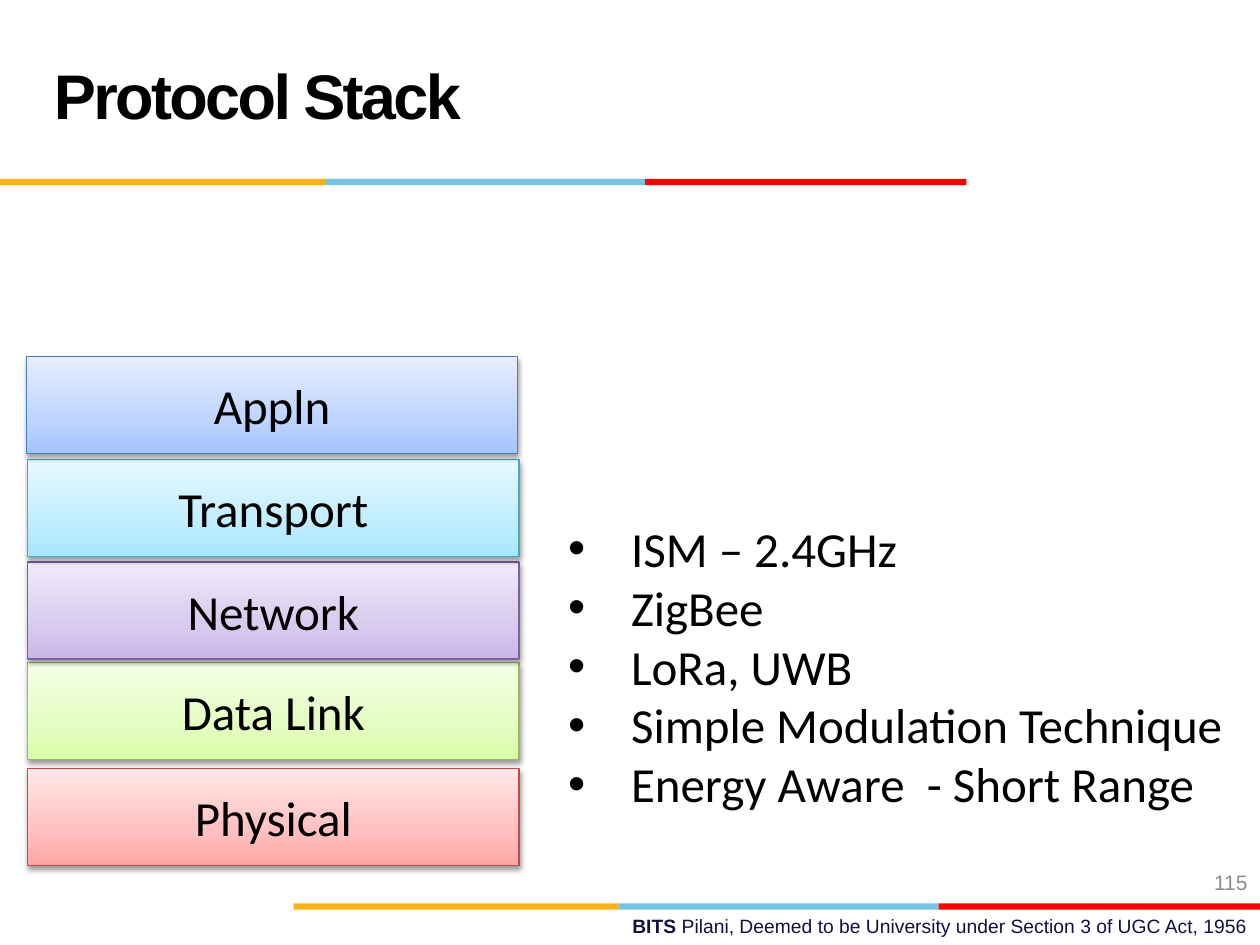
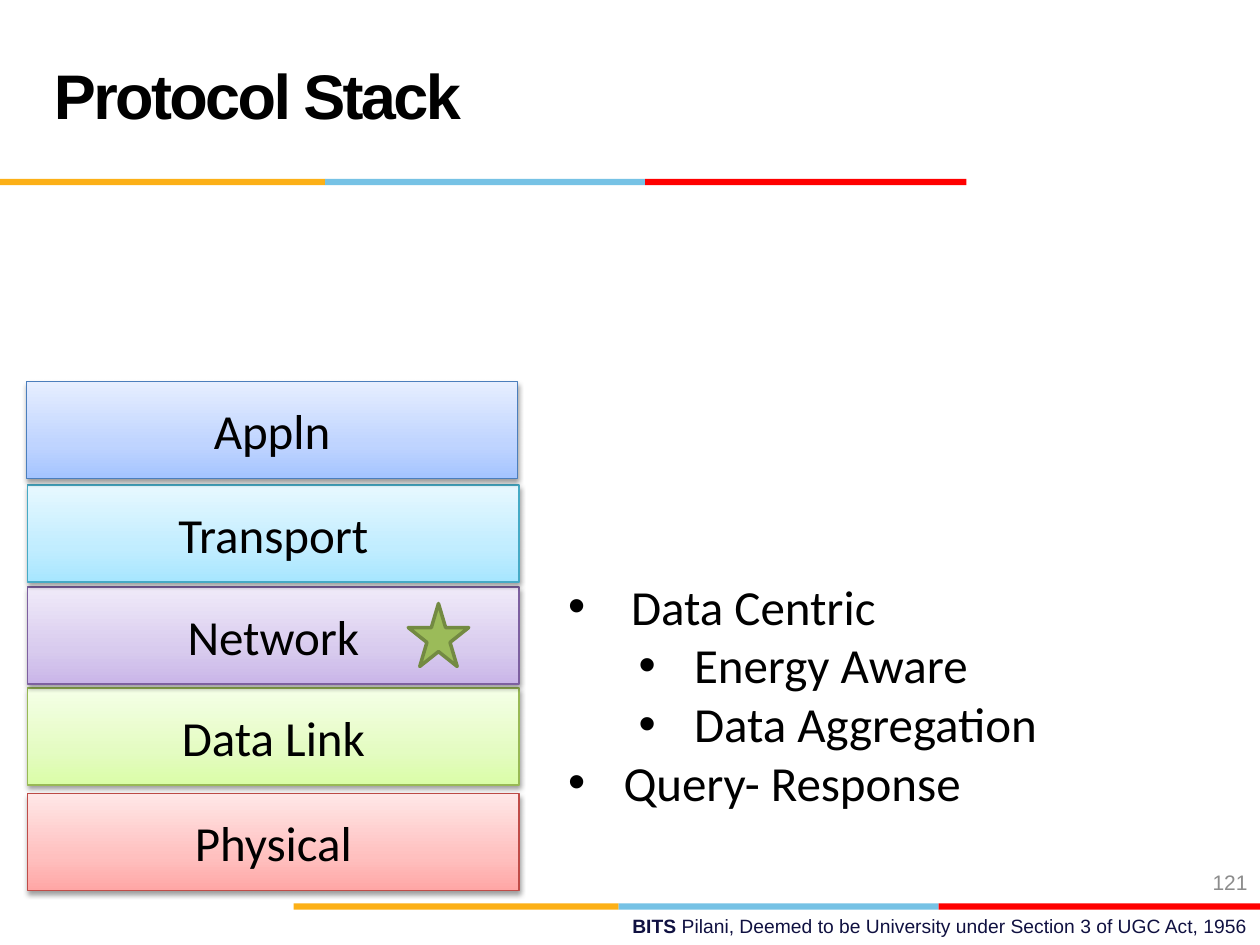
from copy import deepcopy
from pptx import Presentation
from pptx.dml.color import RGBColor as RGB
from pptx.enum.shapes import MSO_SHAPE as Geo
from pptx.enum.text import MSO_ANCHOR as Anchor, PP_ALIGN as Align
from pptx.oxml import parse_xml
from pptx.oxml.ns import nsdecls, qn
from pptx.util import Inches, Pt

BODY = {"name": "Calibri", "size": 28, "color": "000000"}
TITLE = {"name": "Arial", "size": 36, "color": "000000", "bold": True}
FOOT = {"name": "Arial", "size": 11, "color": "101141"}
PAGE = {"name": "Arial", "size": 12, "color": "8C8C8C"}
BANDS = [("FCB017", 2.58), ("76C2E5", 2.54), ("FF0000", 2.55)]
SHADE = (
    f'<a:outerShdw {nsdecls("a")} blurRad="40000" dist="20000" dir="5400000" '
    'rotWithShape="0"><a:srgbClr val="000000"><a:alpha val="38000"/>'
    '</a:srgbClr></a:outerShdw>'
)
LAYERS = [
    ("Physical", 0.22, 3.27, "BF4C48", ("FFA6A5", "FFC0BF", "FFE7E7")),
    ("Data Link", 0.22, 2.43, "98B955", ("DAFDA7", "E4FCC2", "F5FFE7")),
    ("Network", 0.22, 1.63, "7D60A0", ("C9B5E8", "D8CBEE", "F0EAF9")),
    ("Transport", 0.22, 0.82, "46AAC5", ("A7E6FF", "C1EDFF", "E7F8FF")),
    ("Appln", 0.21, 0, "4B7EBC", ("A4C4FF", "BFD4FF", "E6EEFF")),
]
RADIO = [(text, 0.5, 0.5) for text in (
    "ISM – 2.4GHz", "ZigBee", "LoRa, UWB", "Simple Modulation Technique",
    "Energy Aware  - Short Range")]
ROUTE = [("Data Centric", 0.5, 0.5), ("Energy Aware", 1, 0.44),
         ("Data Aggregation", 1, 0.44), ("Query- Response", 0.44, 0.44)]


def tint(code):
    return RGB.from_string(code)


class Deck:
    """Hold the style and the current slide of the deck."""

    def __init__(self):
        self.prs = Presentation()
        self.prs.slide_width, self.prs.slide_height = Inches(10), Inches(7.5)

    def start(self, title, page):
        self.slide = self.prs.slides.add_slide(self.prs.slide_layouts[6])
        self.band(0, 1.42)
        self.band(2.33, 7.17)
        foot = self.text(3.58, 7.21, 6.42, 0.29, Anchor.TOP).paragraphs[0]
        foot.alignment = Align.RIGHT
        self.run(foot, "BITS ", FOOT, bold=True)
        self.run(foot, "Pilani, Deemed to be University under Section 3 of "
                 "UGC Act, 1956", FOOT, bold=False)
        head = self.text(0.33, 0.17, 6.92, 1.25).paragraphs[0]
        head.line_spacing = Pt(36)
        self.run(head, title, TITLE).font._element.set("spc", "-150")
        num = self.text(7.67, 6.8, 2.33, 0.4).paragraphs[0]
        num.alignment = Align.RIGHT
        self.run(num, page, PAGE)

    def run(self, para, text, style, **more):
        run = para.add_run()
        run.text = text
        for key, val in {**style, **more}.items():
            if key == "color":
                run.font.color.rgb = tint(val)
            else:
                setattr(run.font, key, Pt(val) if key == "size" else val)
        return run

    def text(self, left, top, width, height, anchor=Anchor.MIDDLE):
        box = self.slide.shapes.add_textbox(*map(Inches, (left, top, width, height)))
        frame = box.text_frame
        frame.word_wrap = True
        frame.vertical_anchor = anchor
        return frame

    def shape(self, geo, left, top, width, height, fill=None, line=None, weight=0.75):
        shape = self.slide.shapes.add_shape(geo, *map(Inches, (left, top, width, height)))
        shape.shadow.inherit = False
        if fill:
            shape.fill.solid()
            shape.fill.fore_color.rgb = tint(fill)
        if line:
            shape.line.color.rgb = tint(line)
            shape.line.width = Pt(weight)
        else:
            shape.line.fill.background()
        return shape

    def band(self, left, top):
        for fill, width in BANDS:
            self.shape(Geo.RECTANGLE, left, top, width, 0.05, fill)
            left += width

    def layer(self, name, left, top, line, shades):
        box = self.shape(Geo.RECTANGLE, left, top, 3.9, 0.77, line=line)
        box.fill.gradient()
        box.fill.gradient_angle = 90
        props = box.element.spPr
        stops = props.find(".//" + qn("a:gsLst"))
        stops.insert(1, deepcopy(stops[0]))
        for stop, place, shade in zip(box.fill.gradient_stops, (0, 0.35, 1), shades):
            stop.position = place
            stop.color.rgb = tint(shade)
        props.find(qn("a:effectLst")).append(parse_xml(SHADE))
        frame = box.text_frame
        frame.vertical_anchor = Anchor.MIDDLE
        frame.paragraphs[0].alignment = Align.CENTER
        self.run(frame.paragraphs[0], name, BODY)

    def stack(self, top):
        for name, left, drop, line, shades in LAYERS:
            self.layer(name, left, top + drop, line, shades)

    def star(self, left, top):
        self.shape(Geo.STAR_5_POINT, left, top, 0.48, 0.5, "9BBB59", "738A42", 2)

    def list(self, top, height, items):
        frame = self.text(4.41, top, 5.41, height, Anchor.BOTTOM)
        frame.margin_top = frame.margin_bottom = Inches(0.1)
        for i, (text, left, hang) in enumerate(items):
            para = frame.add_paragraph() if i else frame.paragraphs[0]
            props = para._p.get_or_add_pPr()
            props.set("marL", str(Inches(left)))
            props.set("indent", str(-Inches(hang)))
            for tag, key, val in (("buFont", "typeface", "Arial"), ("buChar", "char", "•")):
                props.append(parse_xml(f'<a:{tag} {nsdecls("a")} {key}="{val}"/>'))
            self.run(para, text, BODY)


def main():
    deck = Deck()
    deck.start("Protocol Stack", "115")
    deck.stack(2.83)
    deck.list(3.52, 3.03, RADIO)
    deck.start("Protocol Stack", "121")
    deck.stack(3.03)
    deck.star(3.24, 4.79)
    deck.list(4.45, 2.09, ROUTE)
    deck.prs.save("out.pptx")


if __name__ == "__main__":
    main()
